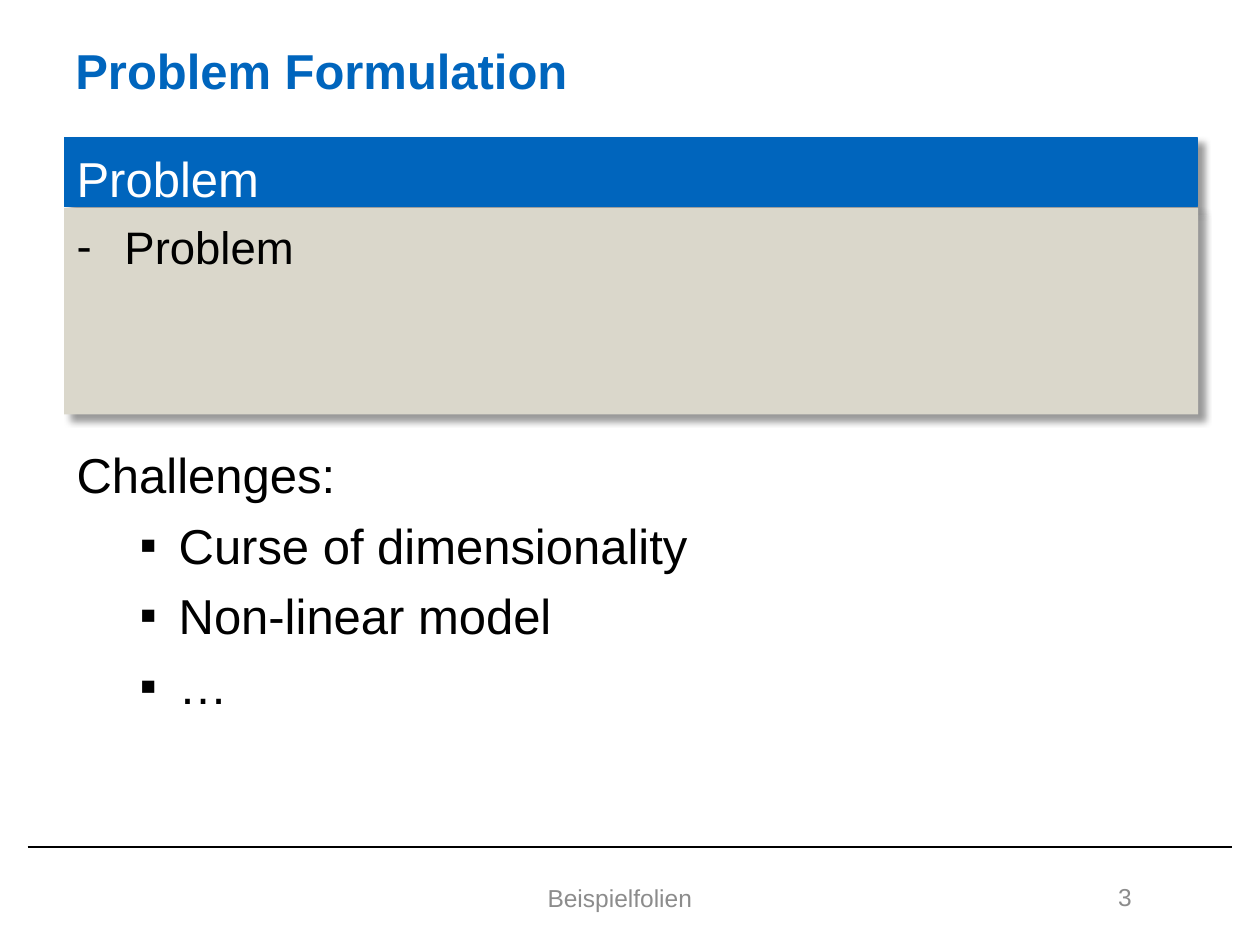
from lxml import etree
from pptx import Presentation
from pptx.dml.color import RGBColor
from pptx.enum.shapes import MSO_CONNECTOR, MSO_SHAPE
from pptx.enum.text import MSO_ANCHOR, PP_ALIGN
from pptx.oxml.ns import qn
from pptx.util import Inches, Pt

BLUE = RGBColor(0x00, 0x65, 0xBD)
SAND = RGBColor(0xDA, 0xD7, 0xCB)
GRAY = RGBColor(0x8C, 0x8C, 0x8C)
BLACK = RGBColor(0x00, 0x00, 0x00)
WHITE = RGBColor(0xFF, 0xFF, 0xFF)

RECTANGLE = MSO_SHAPE.RECTANGLE
STRAIGHT = MSO_CONNECTOR.STRAIGHT
TOP, MIDDLE = MSO_ANCHOR.TOP, MSO_ANCHOR.MIDDLE
LEFT, CENTER, RIGHT = PP_ALIGN.LEFT, PP_ALIGN.CENTER, PP_ALIGN.RIGHT

BODY_INSET = 0.09
EMU_PER_POINT = 12700


class SlideBuilder:
    """Holds the text style and the page being filled."""

    font_name = "Arial"
    space_before = Pt(6.6)

    def __init__(self, page):
        self.page = page

    def _frame(self, shape, anchor, inset=0.05):
        frame = shape.text_frame
        frame.word_wrap = True
        frame.vertical_anchor = anchor
        frame.margin_top = Inches(inset)
        return frame

    def _bullet(self, para, symbol, margin, hanging):
        properties = para._p.get_or_add_pPr()
        properties.set("marL", str(Inches(margin)))
        properties.set("indent", str(-Inches(hanging)))
        etree.SubElement(properties, qn("a:buFont"), typeface=self.font_name)
        etree.SubElement(properties, qn("a:buChar"), char=symbol)

    def _shadow(self, shape):
        effects = etree.SubElement(shape._element.spPr, qn("a:effectLst"))
        shadow = etree.SubElement(
            effects, qn("a:outerShdw"), blurRad=str(4 * EMU_PER_POINT),
            dist=str(5 * EMU_PER_POINT), dir=str(45 * 60000),
            algn="tl", rotWithShape="0")
        color = etree.SubElement(shadow, qn("a:srgbClr"), val=str(BLACK))
        etree.SubElement(color, qn("a:alpha"), val="40000")

    def paragraph(self, frame, text, size, color, bold=False, align=LEFT, bullet=None):
        """Add a paragraph; bullet is (symbol, margin, hanging)."""
        first = not frame.text
        para = frame.paragraphs[0] if first else frame.add_paragraph()
        para.alignment = align
        if not first:
            para.space_before = self.space_before
        if bullet:
            self._bullet(para, *bullet)
        span = para.add_run()
        span.text = text
        span.font.name = self.font_name
        span.font.size = Pt(size)
        span.font.bold = bold
        span.font.color.rgb = color

    def text_box(self, left, top, width, height, anchor=MIDDLE, inset=0.05):
        box = self.page.shapes.add_textbox(
            Inches(left), Inches(top), Inches(width), Inches(height))
        return self._frame(box, anchor, inset)

    def panel(self, left, top, width, height, fill, outlined=False):
        box = self.page.shapes.add_shape(
            RECTANGLE, Inches(left), Inches(top), Inches(width), Inches(height))
        box.fill.solid()
        box.fill.fore_color.rgb = fill
        if outlined:
            box.line.color.rgb = fill
            box.line.width = Pt(0.75)
        else:
            box.line.fill.background()
        self._shadow(box)
        return self._frame(box, TOP, BODY_INSET)

    def rule(self, left, right, y):
        line = self.page.shapes.add_connector(
            STRAIGHT, Inches(left), Inches(y), Inches(right), Inches(y))
        line.line.color.rgb = BLACK
        line.line.width = Pt(1)
        etree.SubElement(line._element.spPr, qn("a:effectLst"))


def main():
    deck = Presentation()
    deck.slide_width, deck.slide_height = Inches(10), Inches(7.5)
    builder = SlideBuilder(deck.slides.add_slide(deck.slide_layouts[6]))

    # Footer rule and title
    builder.rule(0.22, 9.78, 6.72)
    title = builder.text_box(0.5, 0.16, 7.16, 0.79)
    builder.paragraph(title, "Problem Formulation", 28, BLUE, bold=True)

    # Footer text and page number
    footer = builder.text_box(1.69, 6.92, 6.46, 0.41)
    builder.paragraph(footer, "Beispielfolien", 14, GRAY, align=CENTER)
    number = builder.text_box(8.16, 6.92, 0.92, 0.4)
    builder.paragraph(number, "3", 14, GRAY, align=RIGHT)

    # Challenges
    challenges = builder.text_box(0.51, 3.44, 8.98, 3.2, TOP, BODY_INSET)
    builder.paragraph(challenges, "Challenges:", 28, BLACK)
    for item in ("Curse of dimensionality", "Non-linear model", "…"):
        builder.paragraph(challenges, item, 28, BLACK, bullet=("▪", 0.81, 0.31))

    # Problem block: heading and content
    heading = builder.panel(0.51, 1.09, 8.99, 0.55, BLUE, outlined=True)
    builder.paragraph(heading, "Problem", 28, WHITE)
    content = builder.panel(0.51, 1.65, 9, 1.64, SAND)
    builder.paragraph(content, "Problem", 26, BLACK, bullet=("-", 0.38, 0.38))

    deck.save("out.pptx")


if __name__ == "__main__":
    main()
